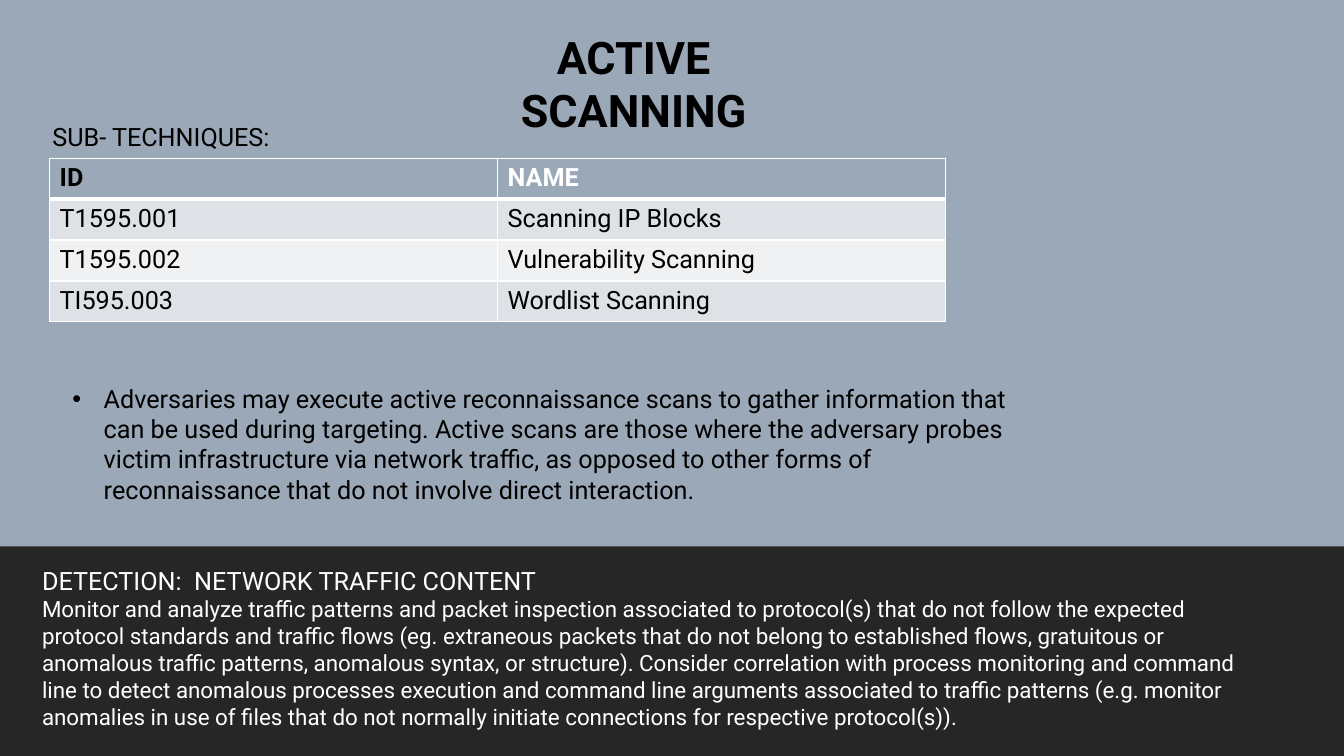
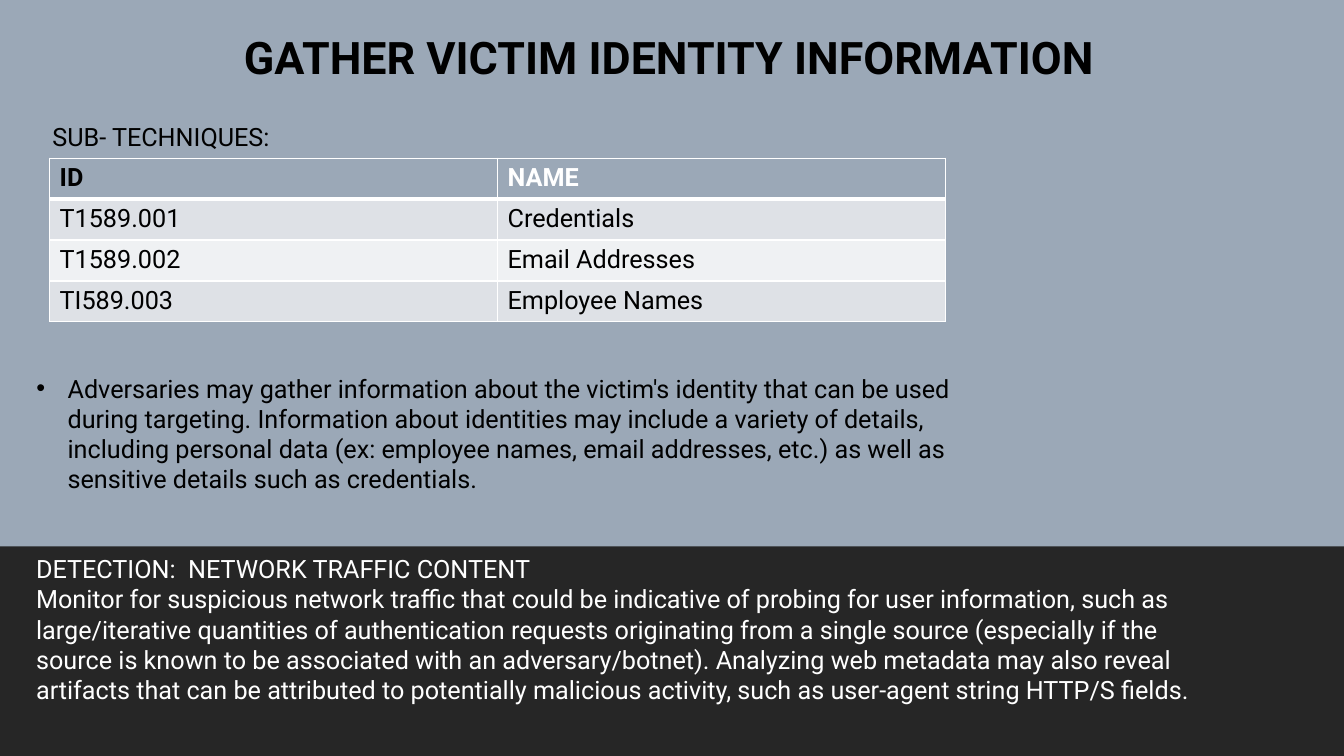
import pptx
import pptx.dml.color
import pptx.enum.shapes
import pptx.enum.text
import pptx.util
from lxml import etree
from pptx.util import Cm

COLORS = {
    "background": "9BA8B7",
    "band": "262626",
    "dark": "000000",
    "light": "FFFFFF",
    "odd row": "DEE1E6",
    "even row": "EFF1F3",
}
FONT = "Roboto"
SLIDE_WIDTH, SLIDE_HEIGHT = 33.87, 19.05
BAND_TOP = 13.77
ROW_HEIGHT = 1.03
BULLET_INDENT = 0.79
TITLE_AND_CONTENT = 1

# Boxes are (left, top, width, height) in centimetres.
TECHNIQUES = [
    {
        "title": "ACTIVE SCANNING",
        "title box": (10.92, 0.61, 10.1, 1.63),
        "rows": [
            ("T1595.001", "Scanning IP Blocks"),
            ("T1595.002", "Vulnerability Scanning"),
            ("TI595.003", "Wordlist Scanning"),
        ],
        "summary": "Adversaries may execute active reconnaissance scans to gather "
                   "information that can be used during targeting. Active scans are "
                   "those where the adversary probes victim infrastructure via network "
                   "traffic, as opposed to other forms of reconnaissance that do not "
                   "involve direct interaction.",
        "summary box": (1.57, 9.53, 24.26, 3.33),
        "detection": "Monitor and analyze traffic patterns and packet inspection "
                     "associated to protocol(s) that do not follow the expected protocol "
                     "standards and traffic flows (eg. extraneous packets that do not "
                     "belong to established flows, gratuitous or anomalous traffic "
                     "patterns, anomalous syntax, or structure). Consider correlation "
                     "with process monitoring and command line to detect anomalous "
                     "processes execution and command line arguments associated to "
                     "traffic patterns (e.g. monitor anomalies in use of files that do "
                     "not normally initiate connections for respective protocol(s)).",
        "detection box": (0.81, 14.12, 31.32, 4.45),
        "detection size": 16,
    },
    {
        "title": "GATHER VICTIM IDENTITY INFORMATION",
        "title box": (0, 0.61, 33.73, 1.63),
        "rows": [
            ("T1589.001", "Credentials"),
            ("T1589.002", "Email Addresses"),
            ("TI589.003", "Employee Names"),
        ],
        "summary": "Adversaries may gather information about the victim's identity that "
                   "can be used during targeting. Information about identities may "
                   "include a variety of details, including personal data (ex: employee "
                   "names, email addresses, etc.) as well as sensitive details such as "
                   "credentials.",
        "summary box": (0.66, 9.27, 24.26, 3.33),
        "detection": "Monitor for suspicious network traffic that could be indicative of "
                     "probing for user information, such as large/iterative quantities "
                     "of authentication requests originating from a single source "
                     "(especially if the source is known to be associated with an "
                     "adversary/botnet). Analyzing web metadata may also reveal artifacts "
                     "that can be attributed to potentially malicious activity, such as "
                     "user-agent string HTTP/S fields.",
        "detection box": (0.66, 13.82, 30.45, 4.88),
        "detection size": 18,
    },
]


def set_fill(fill, color):
    fill.solid()
    fill.fore_color.rgb = pptx.dml.color.RGBColor.from_string(COLORS[color])


def set_borders(cell, widths):
    """Draw light cell borders; widths maps L, R, T and B to points."""
    properties = cell._tc.get_or_add_tcPr()
    for side in "LRTB":
        tag = pptx.oxml.ns.qn(f"a:ln{side}")
        line = etree.SubElement(properties, tag, w=str(pptx.util.Pt(widths[side])))
        solid = etree.SubElement(line, pptx.oxml.ns.qn("a:solidFill"))
        etree.SubElement(solid, pptx.oxml.ns.qn("a:srgbClr"), val=COLORS["light"])


class TechniqueDeck:
    """Holds the presentation, its shared style and the current slide."""

    def __init__(self):
        self.deck = pptx.Presentation()
        self.deck.slide_width = Cm(SLIDE_WIDTH)
        self.deck.slide_height = Cm(SLIDE_HEIGHT)
        self.page = None

    def add_page(self):
        layout = self.deck.slide_layouts[TITLE_AND_CONTENT]
        self.page = self.deck.slides.add_slide(layout)
        set_fill(self.page.background.fill, "background")

    def style(self, para, size=18, color="dark", bold=False):
        para.space_before = pptx.util.Pt(0)
        para.font.name = FONT
        para.font.size = pptx.util.Pt(size)
        para.font.bold = bold
        para.font.color.rgb = pptx.dml.color.RGBColor.from_string(COLORS[color])

    def place(self, box, bounds):
        """Move a text shape and let its text wrap from the top."""
        box.left, box.top, box.width, box.height = map(Cm, bounds)
        frame = box.text_frame
        frame.word_wrap = True
        frame.auto_size = pptx.enum.text.MSO_AUTO_SIZE.NONE
        frame.vertical_anchor = pptx.enum.text.MSO_ANCHOR.TOP
        return frame

    def add_title(self, text, bounds):
        frame = self.place(self.page.shapes.title, bounds)
        frame.text = text
        para = frame.paragraphs[0]
        para.alignment = pptx.enum.text.PP_ALIGN.CENTER
        self.style(para, size=32, bold=True)

    def add_bullet(self, text, bounds):
        frame = self.place(self.page.placeholders[1], bounds)
        frame.text = text
        para = frame.paragraphs[0]
        properties = para._p.get_or_add_pPr()
        properties.set("marL", str(Cm(BULLET_INDENT)))
        properties.set("indent", str(-Cm(BULLET_INDENT)))
        self.style(para)

    def add_text(self, lines, bounds, color="dark"):
        """Add a text box; lines holds (text, size) pairs."""
        frame = self.place(self.page.shapes.add_textbox(*map(Cm, bounds)), bounds)
        frame.text = "\n".join(text for text, _ in lines)
        for para, (_, size) in zip(frame.paragraphs, lines):
            self.style(para, size, color)

    def add_band(self):
        band = self.page.shapes.add_shape(
            pptx.enum.shapes.MSO_SHAPE.RECTANGLE,
            0, Cm(BAND_TOP), Cm(SLIDE_WIDTH), Cm(SLIDE_HEIGHT - BAND_TOP))
        band.shadow.inherit = False
        band.line.fill.background()
        set_fill(band.fill, "band")

    def add_table(self, rows):
        rows = [("ID", "NAME"), *rows]
        table = self.page.shapes.add_table(
            len(rows), 2, Cm(1.25), Cm(3.99), Cm(22.58), Cm(ROW_HEIGHT * len(rows))).table
        for row, texts in enumerate(rows):
            header = row == 0
            fill = "background" if header else "odd row" if row % 2 else "even row"
            widths = {"L": 1, "R": 1, "T": 3 if row == 1 else 1, "B": 3 if header else 1}
            for column, text in enumerate(texts):
                cell = table.cell(row, column)
                cell.text = text
                set_borders(cell, widths)
                set_fill(cell.fill, fill)
                color = "light" if header and column == 1 else "dark"
                self.style(cell.text_frame.paragraphs[0], color=color, bold=header)


def main():
    slides = TechniqueDeck()
    for technique in TECHNIQUES:
        slides.add_page()
        slides.add_band()
        slides.add_title(technique["title"], technique["title box"])
        slides.add_text([("SUB- TECHNIQUES:", 18)], (1.07, 2.92, 6.73, 1.02))
        slides.add_table(technique["rows"])
        slides.add_bullet(technique["summary"], technique["summary box"])
        slides.add_text(
            [("DETECTION:  NETWORK TRAFFIC CONTENT", 18),
             (technique["detection"], technique["detection size"])],
            technique["detection box"], "light")
    slides.deck.save("out.pptx")


if __name__ == "__main__":
    main()
